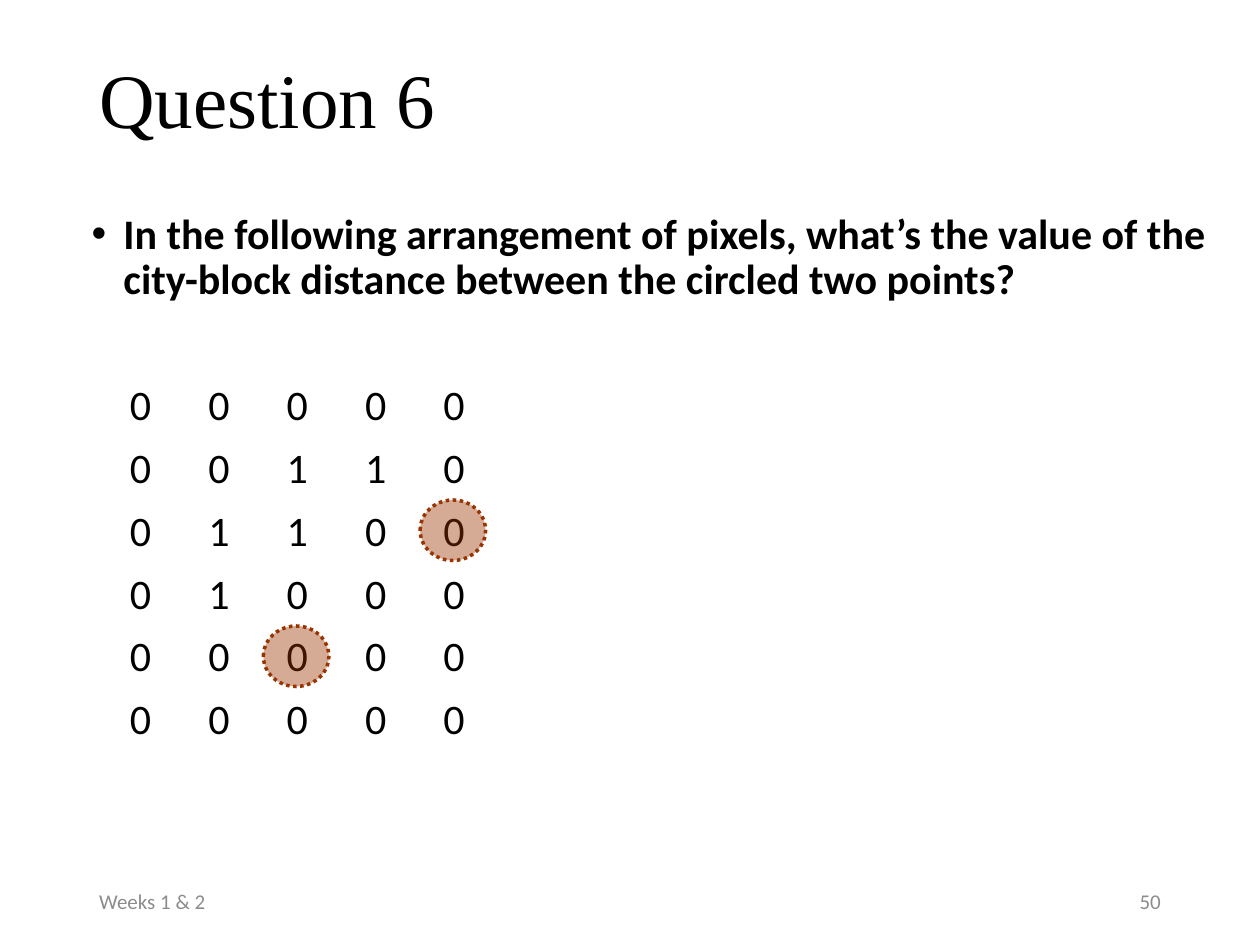
import pptx
import pptx.dml.color
import pptx.enum.dml
import pptx.enum.shapes
import pptx.enum.text
import pptx.oxml
import pptx.oxml.ns
import pptx.util

Cm, Pt = pptx.util.Cm, pptx.util.Pt
ALIGN, ANCHOR = pptx.enum.text.PP_ALIGN, pptx.enum.text.MSO_ANCHOR

COLORS = {"text": "000000", "footer": "8C8C8C", "circle": "993300"}
BODY = {"name": "Calibri", "size": Pt(24)}
FOOTER = {"name": "Calibri", "size": Pt(12)}
TITLE = {"name": "Times New Roman", "size": Pt(44)}
PARAGRAPH = {"line_spacing": 0.9}

QUESTION = ("In the following arrangement of pixels, what’s the value of the "
            "city-block distance between the circled two points?")
PIXELS = ["00000", "00110", "01100", "01000", "00000", "00000"]
CIRCLED = [(4, 2), (2, 4)]  # row, column
FIRST_TAB, COL_STEP, ROW_STEP = 0.77, 1.58, 1.27


def rgb(key):
    return pptx.dml.color.RGBColor.from_string(COLORS[key])


def set_attributes(target, values):
    for name, value in values.items():
        setattr(target, name, value)


def add_xml(parent, tag, **attributes):
    el = pptx.oxml.parse_xml(f"<a:{tag} {pptx.oxml.ns.nsdecls('a')}/>")
    for name, value in attributes.items():
        el.set(name, str(value))
    parent.append(el)
    return el


def add_box(s, box, anchor):
    tf = s.shapes.add_textbox(*map(Cm, box)).text_frame
    set_attributes(tf, {"word_wrap": True, "vertical_anchor": anchor})
    return tf


def write(p, text, font, color="text", **paragraph):
    p.add_run().text = text
    set_attributes(p, paragraph)
    set_attributes(p.runs[0].font, font)
    p.runs[0].font.color.rgb = rgb(color)


def add_title(s, box):
    tf = add_box(s, box, ANCHOR.TOP)
    tf.margin_top = Cm(0.23)
    write(tf.paragraphs[0], "Question 6", TITLE, **PARAGRAPH)


def add_question(s, box):
    """Place the bulleted question and the tabbed pixel rows under it."""
    tf = add_box(s, box, ANCHOR.TOP)
    p = tf.paragraphs[0]
    ppr = p._p.get_or_add_pPr()
    ppr.set("marL", str(Cm(0.64)))
    ppr.set("indent", str(-Cm(0.64)))
    add_xml(ppr, "buFont", typeface="Arial")
    add_xml(ppr, "buChar", char="•")
    write(p, QUESTION, {**BODY, "bold": True}, **PARAGRAPH)

    for i, row in enumerate(PIXELS):
        p = tf.add_paragraph()
        tabs = add_xml(p._p.get_or_add_pPr(), "tabLst")
        for col in range(len(row)):
            add_xml(tabs, "tab", pos=Cm(FIRST_TAB + col * COL_STEP), algn="l")
        write(p, "".join("\t" + value for value in row), BODY,
              space_before=Pt(10 if i else 46), **PARAGRAPH)


def add_circles(s, box):
    """Circle pixels; the box is the area of the top left pixel."""
    left, top, width, height = box
    for row, col in CIRCLED:
        sp = s.shapes.add_shape(
            pptx.enum.shapes.MSO_SHAPE.OVAL, Cm(left + col * COL_STEP),
            Cm(top + row * ROW_STEP), Cm(width), Cm(height))
        sp.shadow.inherit = False
        sp.fill.solid()
        sp.fill.fore_color.rgb = sp.line.color.rgb = rgb("circle")
        color = sp.fill._xPr.find(".//" + pptx.oxml.ns.qn("a:srgbClr"))
        add_xml(color, "alpha", val=41000)
        set_attributes(sp.line, {
            "width": Pt(2),
            "dash_style": pptx.enum.dml.MSO_LINE.ROUND_DOT})


def add_footer(s, box):
    left, top, width, height = box
    part = 5.72
    for x, text, align in [(left, "Weeks 1 & 2", ALIGN.LEFT),
                           (left + width - part, "50", ALIGN.RIGHT)]:
        tf = add_box(s, (x, top, part, height), ANCHOR.MIDDLE)
        write(tf.paragraphs[0], text, FOOTER, "footer", alignment=align)


def main():
    prs = pptx.Presentation()
    prs.slide_width, prs.slide_height = Cm(25.4), Cm(19.05)
    s = prs.slides.add_slide(prs.slide_layouts[6])
    add_footer(s, (1.75, 17.65, 21.9, 1.02))
    add_title(s, (1.75, 1.02, 21.9, 3.68))
    add_question(s, (1.6, 4.17, 23.72, 12.5))
    add_circles(s, (2.15, 7.54, 1.32, 1.22))
    prs.save("out.pptx")


if __name__ == "__main__":
    main()
